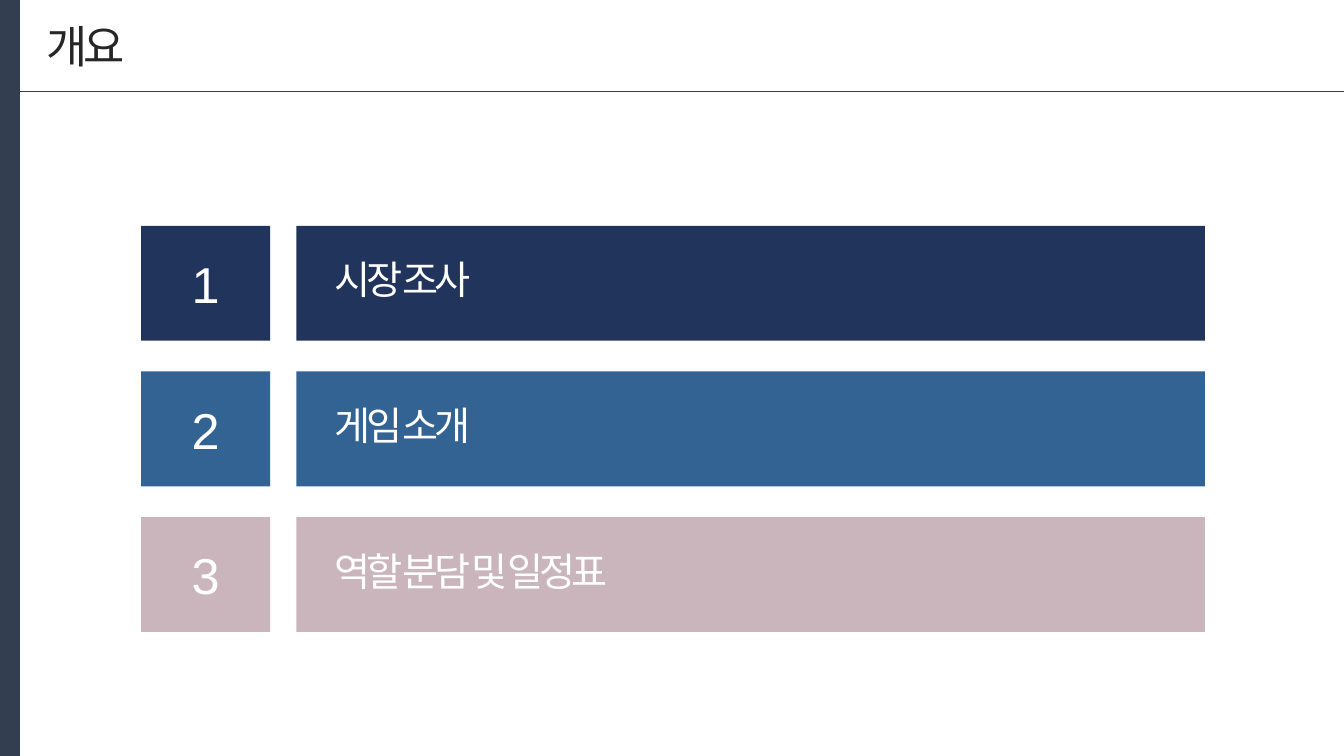
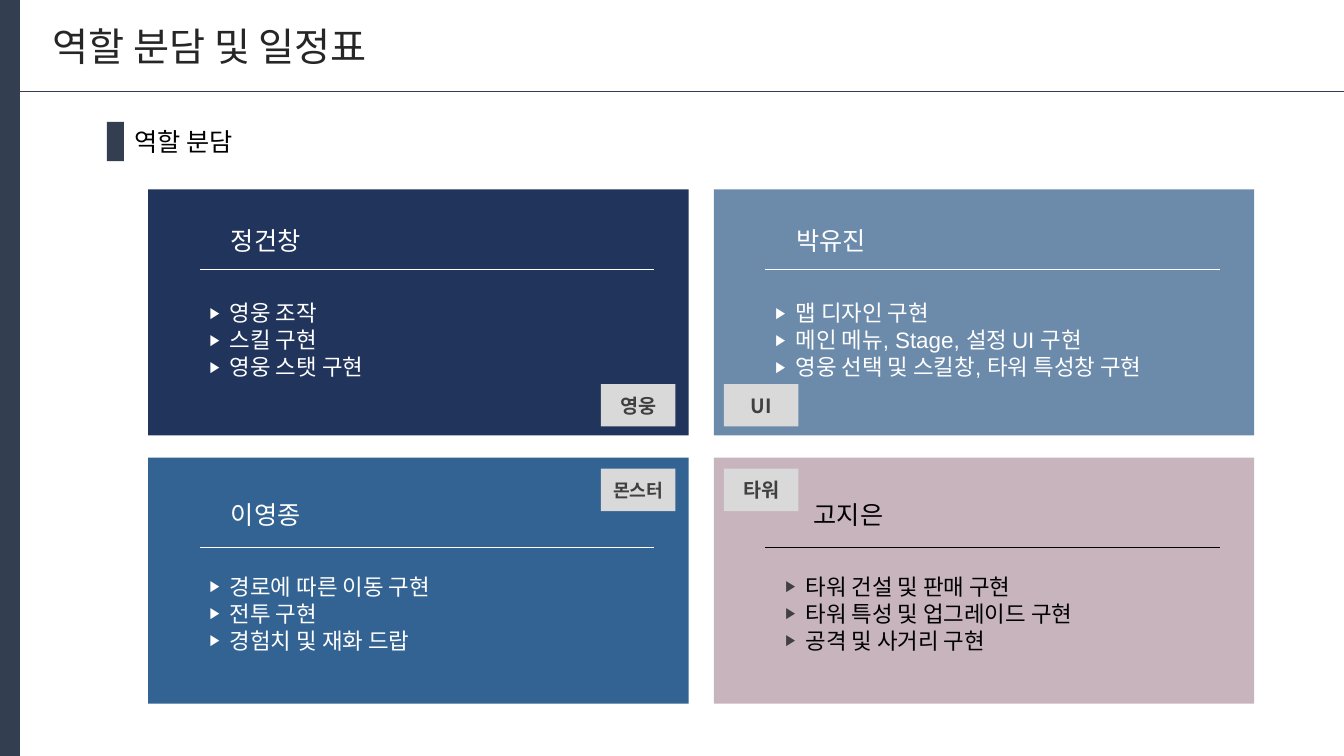
from dataclasses import dataclass

from lxml import etree
from pptx import Presentation
from pptx.dml.color import RGBColor
from pptx.enum.shapes import MSO_CONNECTOR, MSO_SHAPE
from pptx.enum.text import MSO_ANCHOR, MSO_AUTO_SIZE, PP_ALIGN
from pptx.oxml.ns import qn
from pptx.shapes.base import BaseShape
from pptx.slide import Slide
from pptx.text.text import TextFrame
from pptx.util import Inches, Pt

RECTANGLE = MSO_SHAPE.RECTANGLE
STRAIGHT = MSO_CONNECTOR.STRAIGHT
TOP = MSO_ANCHOR.TOP
MIDDLE = MSO_ANCHOR.MIDDLE
NO_AUTOFIT = MSO_AUTO_SIZE.NONE
LEFT = PP_ALIGN.LEFT
CENTER = PP_ALIGN.CENTER


@dataclass(frozen=True)
class Theme:
    slate: str = "333F50"
    navy: str = "21345C"
    blue: str = "326393"
    steel: str = "6C8BAB"
    rose: str = "CAB5BD"
    card_rose: str = "C8B4BC"
    gray: str = "D9D9D9"
    dark_gray: str = "404040"
    title: str = "262626"
    white: str = "FFFFFF"
    black: str = "000000"
    latin_font: str = "Arial"
    korean_font: str = "Noto Sans CJK KR"
    number_size: int = 36
    agenda_title_size: int = 32
    large_size: int = 28
    name_size: int = 18
    list_size: int = 16
    tag_size: int = 14
    small_tag_size: int = 13
    list_pitch: float = 19.3
    bullet_percent: int = 69


THEME = Theme()


@dataclass(frozen=True)
class Box:
    left: float
    top: float
    width: float
    height: float


@dataclass(frozen=True)
class TextStyle:
    size: float
    color: str
    font: str = THEME.korean_font
    bold: bool = False
    spacing: int = 0
    align: PP_ALIGN = LEFT
    anchor: MSO_ANCHOR = MIDDLE


@dataclass(frozen=True)
class AgendaItem:
    label: str
    color: str


@dataclass(frozen=True)
class CardRow:
    top: float
    name_offset: float
    rule_offset: float
    list_offset: float
    tag_top: float


@dataclass(frozen=True)
class CardColumn:
    left: float
    tag_left: float


@dataclass(frozen=True)
class MemberCard:
    row: CardRow
    column: CardColumn
    name: str
    tasks: tuple[str, ...]
    tag: str
    fill: str
    ink: str = THEME.white
    bullet: str = THEME.white
    name_shift: float = 0
    list_shift: float = 0
    tag_size: int = THEME.tag_size


AGENDA = (
    AgendaItem("시장 조사", THEME.navy),
    AgendaItem("게임 소개", THEME.blue),
    AgendaItem("역할 분담 및 일정표", THEME.rose),
)
AGENDA_TOP, AGENDA_PITCH, AGENDA_HEIGHT = 2.24, 1.445, 1.14

UPPER = CardRow(1.88, 0.51, 0.79, 1.09, 3.81)
LOWER = CardRow(4.54, 0.56, 0.89, 1.14, 4.65)
FIRST = CardColumn(1.47, 5.96)
SECOND = CardColumn(7.08, 7.18)
CARD_WIDTH, CARD_HEIGHT = 5.36, 2.44

MEMBERS = (
    MemberCard(UPPER, FIRST, "정건창", ("영웅 조작", "스킬 구현", "영웅 스탯 구현"),
               "영웅", THEME.navy),
    MemberCard(UPPER, SECOND, "박유진",
               ("맵 디자인 구현", "메인 메뉴, Stage, 설정 UI 구현",
                "영웅 선택 및 스킬창, 타워 특성창 구현"),
               "UI", THEME.steel),
    MemberCard(LOWER, FIRST, "이영종",
               ("경로에 따른 이동 구현", "전투 구현", "경험치 및 재화 드랍"),
               "몬스터", THEME.blue, tag_size=THEME.small_tag_size),
    MemberCard(LOWER, SECOND, "고지은",
               ("타워 건설 및 판매 구현", "타워 특성 및 업그레이드 구현", "공격 및 사거리 구현"),
               "타워", THEME.card_rose, THEME.black, THEME.dark_gray,
               name_shift=0.17, list_shift=0.1),
)


def place(shape: BaseShape, box: Box) -> None:
    shape.left, shape.top = Inches(box.left), Inches(box.top)
    shape.width, shape.height = Inches(box.width), Inches(box.height)


def write_text(frame: TextFrame, text: str, style: TextStyle,
               inset: float = 0, bottom: float = 0, wrap: bool = True) -> None:
    frame.text = text
    frame.word_wrap = wrap
    frame.auto_size = NO_AUTOFIT
    frame.vertical_anchor = style.anchor
    frame.margin_left = Inches(inset)
    frame.margin_right = frame.margin_top = 0
    frame.margin_bottom = Inches(bottom)
    for paragraph in frame.paragraphs:
        paragraph.alignment = style.align
        for run in paragraph.runs:
            run.font.size = Pt(style.size)
            run.font.bold = style.bold
            run.font.name = style.font
            run.font.color.rgb = RGBColor.from_string(style.color)
            properties = run._r.get_or_add_rPr()
            if style.spacing:
                properties.set("spc", str(style.spacing * 100))
            etree.SubElement(properties, qn("a:ea"), typeface=THEME.korean_font)


def add_rectangle(slide: Slide, box: Box, color: str) -> BaseShape:
    shape = slide.shapes.add_shape(
        RECTANGLE, Inches(box.left), Inches(box.top), Inches(box.width), Inches(box.height))
    shape.shadow.inherit = False
    shape.fill.solid()
    shape.fill.fore_color.rgb = RGBColor.from_string(color)
    shape.line.fill.background()
    return shape


def add_label(slide: Slide, box: Box, text: str, style: TextStyle) -> None:
    label = slide.shapes.add_textbox(
        Inches(box.left), Inches(box.top), Inches(box.width), Inches(box.height))
    write_text(label.text_frame, text, style)


def add_rule(slide: Slide, left: float, right: float, top: float, color: str) -> None:
    rule = slide.shapes.add_connector(
        STRAIGHT, Inches(left), Inches(top), Inches(right), Inches(top))
    rule.line.color.rgb = RGBColor.from_string(color)
    rule.line.width = Pt(0.5)
    etree.SubElement(rule._element.spPr, qn("a:effectLst"))


def add_frame(slide: Slide, title: str, left: float, style: TextStyle) -> None:
    add_rule(slide, 0.19, 13.33, 0.91, THEME.slate)
    band = add_rectangle(slide, Box(0, 0, 0.19, 7.5), THEME.slate)
    band.line.color.rgb = RGBColor.from_string(THEME.slate)
    band.line.width = Pt(1)
    place(slide.shapes.title, Box(left, 0.12, 12, 0.66))
    write_text(slide.shapes.title.text_frame, title, style, inset=0.1)


def format_bullets(frame: TextFrame, color: str) -> None:
    for paragraph in frame.paragraphs:
        paragraph.line_spacing = Pt(THEME.list_pitch)
        paragraph.space_before = paragraph.space_after = Pt(0)
        properties = paragraph._p.get_or_add_pPr()
        properties.set("marL", str(Inches(0.2)))
        properties.set("indent", str(-Inches(0.2)))
        bullet_color = etree.SubElement(properties, qn("a:buClr"))
        etree.SubElement(bullet_color, qn("a:srgbClr"), val=color)
        etree.SubElement(properties, qn("a:buSzPct"), val=str(THEME.bullet_percent * 1000))
        etree.SubElement(properties, qn("a:buFont"), typeface=THEME.latin_font)
        etree.SubElement(properties, qn("a:buChar"), char="▶")


def add_member_card(slide: Slide, card: MemberCard, body: BaseShape) -> None:
    left, row = card.column.left, card.row
    add_rectangle(slide, Box(left, row.top, CARD_WIDTH, CARD_HEIGHT), card.fill)
    add_label(slide, Box(left + 0.82 + card.name_shift, row.top + row.name_offset - 0.2, 3, 0.4),
              card.name, TextStyle(THEME.name_size, card.ink))
    add_rule(slide, left + 0.51, left + 5.02, row.top + row.rule_offset, card.ink)

    place(body, Box(left + 0.61 + card.list_shift, row.top + row.list_offset, 4.6, 0.85))
    style = TextStyle(THEME.list_size, card.ink, THEME.latin_font, anchor=TOP)
    write_text(body.text_frame, "\n".join(card.tasks), style)
    format_bullets(body.text_frame, card.bullet)
    slide.shapes._spTree.append(body._element)

    tag = add_rectangle(slide, Box(card.column.tag_left, row.tag_top, 0.74, 0.42), THEME.gray)
    write_text(tag.text_frame, card.tag,
               TextStyle(card.tag_size, THEME.dark_gray, bold=True, align=CENTER), wrap=False)


def build_agenda(presentation: Presentation) -> None:
    slide = presentation.slides.add_slide(presentation.slide_layouts.get_by_name("Title Only"))
    add_frame(slide, "개요", 0.36, TextStyle(THEME.agenda_title_size, THEME.title, spacing=-3))
    number_style = TextStyle(THEME.number_size, THEME.white, THEME.latin_font,
                             spacing=-3, align=CENTER)
    label_style = TextStyle(THEME.large_size, THEME.white, spacing=-3)
    for index, item in enumerate(AGENDA):
        top = AGENDA_TOP + index * AGENDA_PITCH
        number = add_rectangle(slide, Box(1.4, top, 1.28, AGENDA_HEIGHT), item.color)
        write_text(number.text_frame, str(index + 1), number_style)
        bar = add_rectangle(slide, Box(2.94, top, 9.01, AGENDA_HEIGHT), item.color)
        write_text(bar.text_frame, item.label, label_style, inset=0.38, bottom=0.08)


def build_roles(presentation: Presentation) -> None:
    slide = presentation.slides.add_slide(presentation.slide_layouts.get_by_name("Comparison"))
    add_frame(slide, "역할 분담 및 일정표", 0.42, TextStyle(THEME.large_size, THEME.title))
    add_rectangle(slide, Box(1.06, 1.21, 0.17, 0.39), THEME.slate)
    add_label(slide, Box(1.33, 1.2, 1.88, 0.4), "역할 분담",
              TextStyle(THEME.name_size, THEME.black))
    bodies = [shape for shape in slide.placeholders if shape.placeholder_format.idx > 0]
    for card, body in zip(MEMBERS, bodies):
        add_member_card(slide, card, body)


def main() -> None:
    presentation = Presentation()
    presentation.slide_width, presentation.slide_height = Inches(13.33), Inches(7.5)
    build_agenda(presentation)
    build_roles(presentation)
    presentation.save("out.pptx")


if __name__ == "__main__":
    main()
